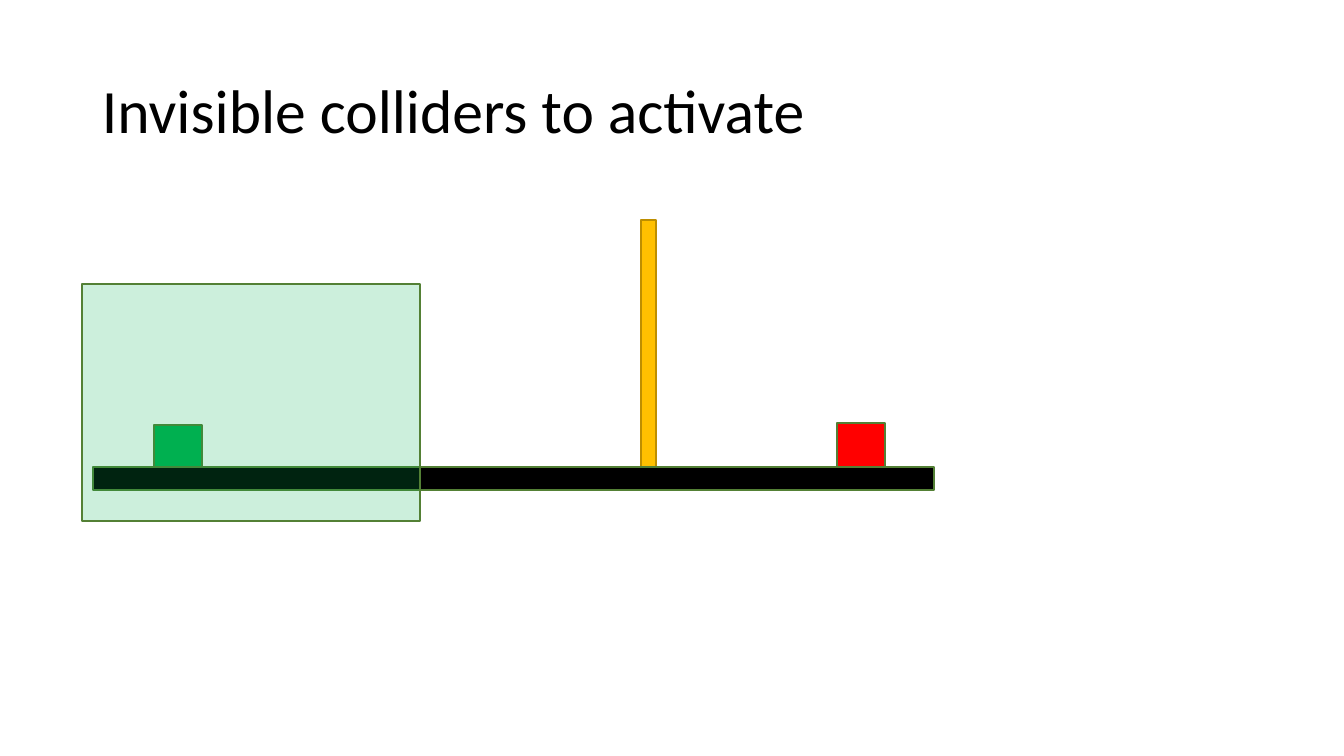
from pptx import Presentation
from pptx.dml.color import RGBColor
from pptx.enum.shapes import MSO_SHAPE
from pptx.enum.text import MSO_ANCHOR
from pptx.oxml.ns import qn
from pptx.util import Pt
from lxml import etree

RECT = MSO_SHAPE.RECTANGLE
MIDDLE = MSO_ANCHOR.MIDDLE
SCALE = 914400 / 100.8


def px(*sizes):
    return [round(size * SCALE) for size in sizes]


def color(code):
    return RGBColor.from_string(code)


deck = Presentation()
deck.slide_width, deck.slide_height = px(1344, 756)
slide = deck.slides.add_slide(deck.slide_layouts[6])

# Red block, green block, pole, floor and collider zone, back to front
GREEN, EDGE = "00B050", "538035"
parts = [
    ((837, 423, 48, 45), "FF0000", EDGE),
    ((154, 425, 48, 45), GREEN, EDGE),
    ((641, 220, 15, 247), "FFC000", "BD8E00"),
    ((93, 467, 841, 23), "000000", EDGE),
    ((82, 284, 338, 237), GREEN, EDGE),
]
for box, fill, edge in parts:
    part = slide.shapes.add_shape(RECT, *px(*box))
    part.shadow.inherit = False
    part.fill.solid()
    part.fill.fore_color.rgb = color(fill)
    part.line.color.rgb = color(edge)
    part.line.width = Pt(1)

# The collider zone, drawn last, is see-through
tint = part.element.spPr.find(qn("a:solidFill"))[0]
etree.SubElement(tint, qn("a:alpha"), val="20000")

# Title
title = slide.shapes.add_textbox(*px(92, 41, 1159, 146))
frame = title.text_frame
frame.word_wrap = True
frame.vertical_anchor = MIDDLE
line = frame.paragraphs[0]
line.text = "Invisible colliders to activate"
line.line_spacing = 0.9
line.font.name = "Calibri"
line.font.size = Pt(44)
line.font.color.rgb = color("000000")

deck.save("out.pptx")
